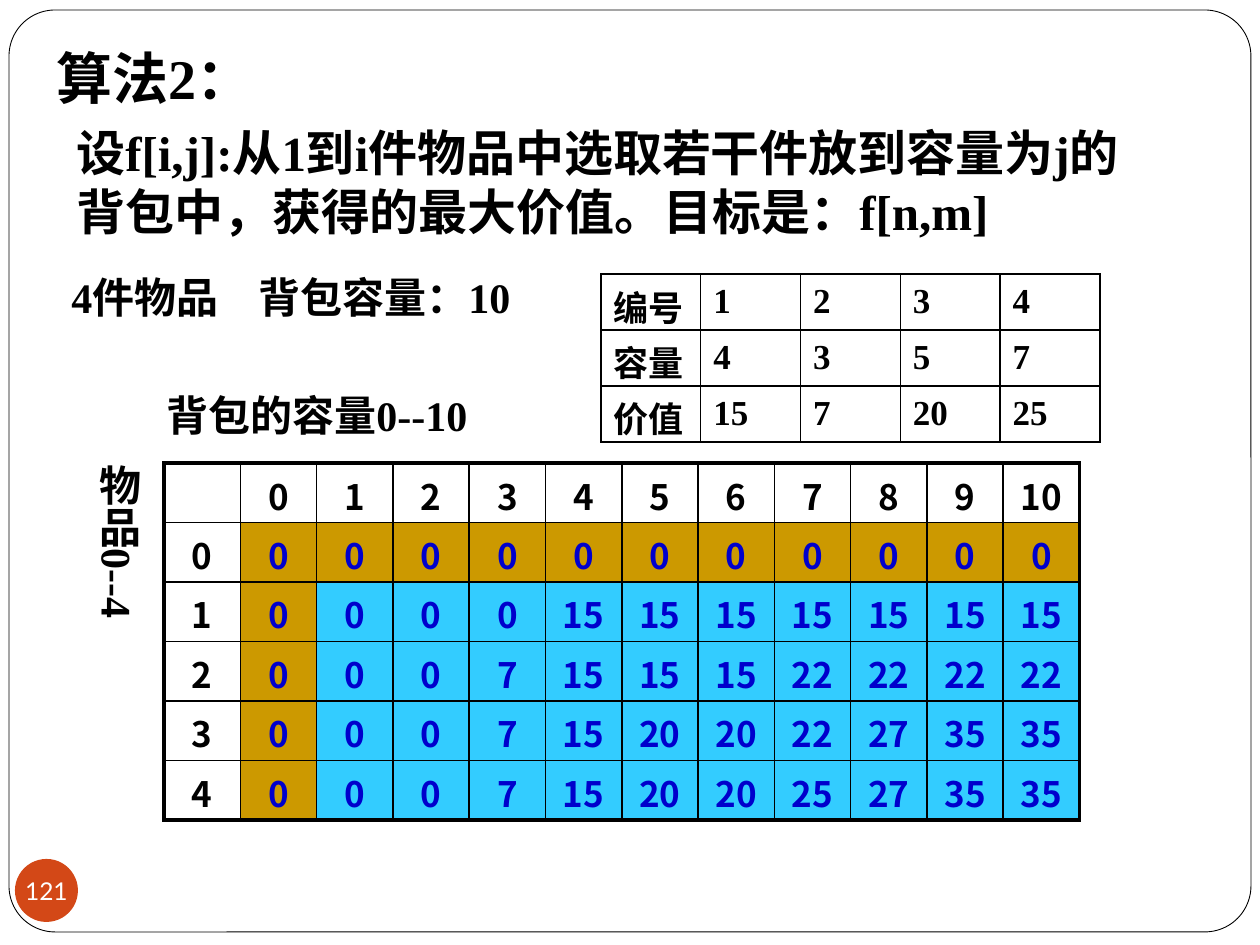
from lxml.etree import SubElement
from pptx import Presentation
from pptx.dml.color import RGBColor
from pptx.enum.shapes import MSO_SHAPE as Shape
from pptx.enum.text import MSO_ANCHOR as Anchor, MSO_AUTO_SIZE as AutoSize, PP_ALIGN as Align
from pptx.oxml.ns import qn
from pptx.util import Pt

PX = 914400 / 126
SERIF = "Times New Roman"
SANS = "Noto Sans CJK SC"
color = RGBColor.from_string


def px(*lengths):
    return [round(length * PX) for length in lengths]


def write(frame, text, size, font, hex_color="000000", bold=True, align=Align.LEFT):
    paragraph = frame.paragraphs[0]
    paragraph.alignment = align
    run = paragraph.add_run()
    run.text = text
    run.font.size = Pt(size)
    run.font.name = font
    run.font.bold = bold
    run.font.color.rgb = color(hex_color)
    SubElement(run._r.get_or_add_rPr(), qn("a:ea"), typeface=SANS)


presentation = Presentation()
presentation.slide_width, presentation.slide_height = px(1260, 945)
slide = presentation.slides.add_slide(presentation.slide_layouts[5])
shapes = slide.shapes

border = shapes.add_shape(Shape.ROUNDED_RECTANGLE, *px(9, 10, 1242, 922))
border.adjustments[0] = 0.05
border.shadow.inherit = False
border.fill.solid()
border.fill.fore_color.rgb = color("FFFFFF")
border.line.color.rgb = color("000000")
border.line.width = Pt(0.5)
shapes._spTree.insert(2, border._element)

title = shapes.title
title.left, title.top, title.width, title.height = px(44, 37, 318, 81)
title.text_frame.auto_size = AutoSize.NONE
title.text_frame.vertical_anchor = Anchor.TOP
write(title.text_frame, "算法2：", 32, SERIF)

labels = [
    ("设f[i,j]:从1到i件物品中选取若干件放到容量为j的背包中，获得的最大价值。目标是：f[n,m]",
     28, (64, 116, 1114, 131), "horz"),
    ("4件物品\t背包容量：10", 24, (59, 265, 525, 64), "horz"),
    ("背包的容量0--10", 24, (154, 383, 456, 64), "horz"),
    ("物品0--4", 24, (74, 452, 76, 238), "eaVert"),
]
for text, size, place, direction in labels:
    box = shapes.add_textbox(*px(*place))
    frame = box.text_frame
    frame.word_wrap = True
    frame._txBody.bodyPr.set("vert", direction)
    if "\t" in text:
        properties = frame.paragraphs[0]._p.get_or_add_pPr()
        tabs = SubElement(properties, qn("a:tabLst"))
        SubElement(tabs, qn("a:tab"), pos=str(px(187)[0]), algn="l")
    write(frame, text, size, SERIF)

items = [
    ["编号", 1, 2, 3, 4],
    ["容量", 4, 3, 5, 7],
    ["价值", 15, 7, 20, 25],
]
best_values = [
    ["", *range(11)],
    [0] + [0] * 11,
    [1] + [0] * 4 + [15] * 7,
    [2, 0, 0, 0, 7, 15, 15, 15, 22, 22, 22, 22],
    [3, 0, 0, 0, 7, 15, 20, 20, 22, 27, 35, 35],
    [4, 0, 0, 0, 7, 15, 20, 20, 25, 27, 35, 35],
]
tables = [
    (items, (601, 274, 499, 168), SERIF, Align.LEFT, 1, False),
    (best_values, (164, 463, 916, 357), SANS, Align.CENTER, 2.25, True),
]
for rows, place, font, align, outer_width, colored in tables:
    last_row, last_column = len(rows) - 1, len(rows[0]) - 1
    table = shapes.add_table(last_row + 1, last_column + 1, *px(*place)).table
    table.first_row = table.horz_banding = False
    for i, values in enumerate(rows):
        for j, value in enumerate(values):
            cell = table.cell(i, j)
            cell.vertical_anchor = Anchor.MIDDLE
            edges = [("L", j == 0), ("R", j == last_column), ("T", i == 0), ("B", i == last_row)]
            for side, outer in edges:
                width = Pt(outer_width if outer else 1)
                line = SubElement(cell._tc.get_or_add_tcPr(), qn(f"a:ln{side}"), w=str(width))
                SubElement(SubElement(line, qn("a:solidFill")), qn("a:srgbClr"), val="000000")
            inside = colored and i > 0 and j > 0
            base_case = i == 1 or j == 1
            fill = ("CC9900" if base_case else "33CCFF") if inside else "FFFFFF"
            cell.fill.solid()
            cell.fill.fore_color.rgb = color(fill)
            if value != "":
                write(cell.text_frame, str(value), 20, font,
                      "0000CC" if inside else "000000", align=align)

badge = shapes.add_shape(Shape.OVAL, *px(15, 859, 63, 63))
badge.shadow.inherit = False
badge.fill.solid()
badge.fill.fore_color.rgb = color("D34817")
badge.line.fill.background()
frame = badge.text_frame
frame.margin_left = frame.margin_right = frame.margin_top = frame.margin_bottom = 0
frame.word_wrap = False
frame.vertical_anchor = Anchor.MIDDLE
write(frame, "121", 14, "Lato", "FFFFFF", bold=False, align=Align.CENTER)

presentation.save("out.pptx")
